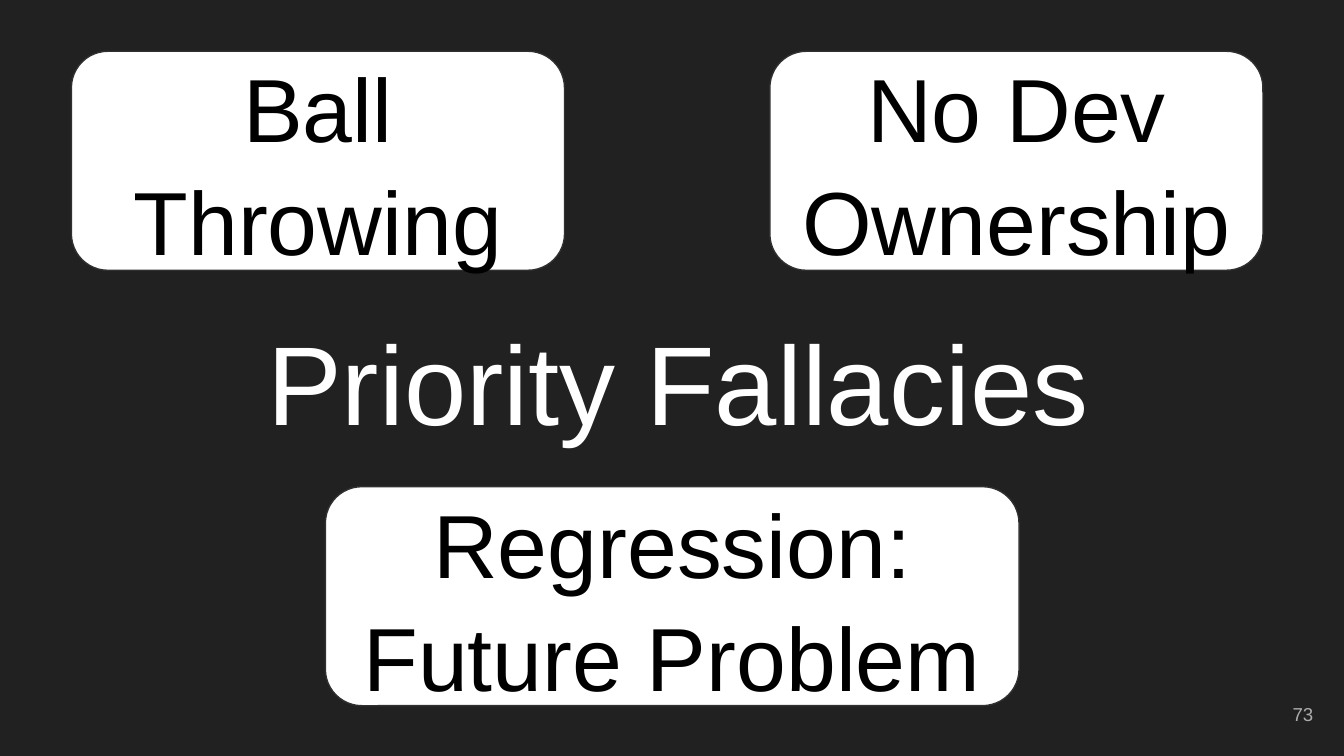
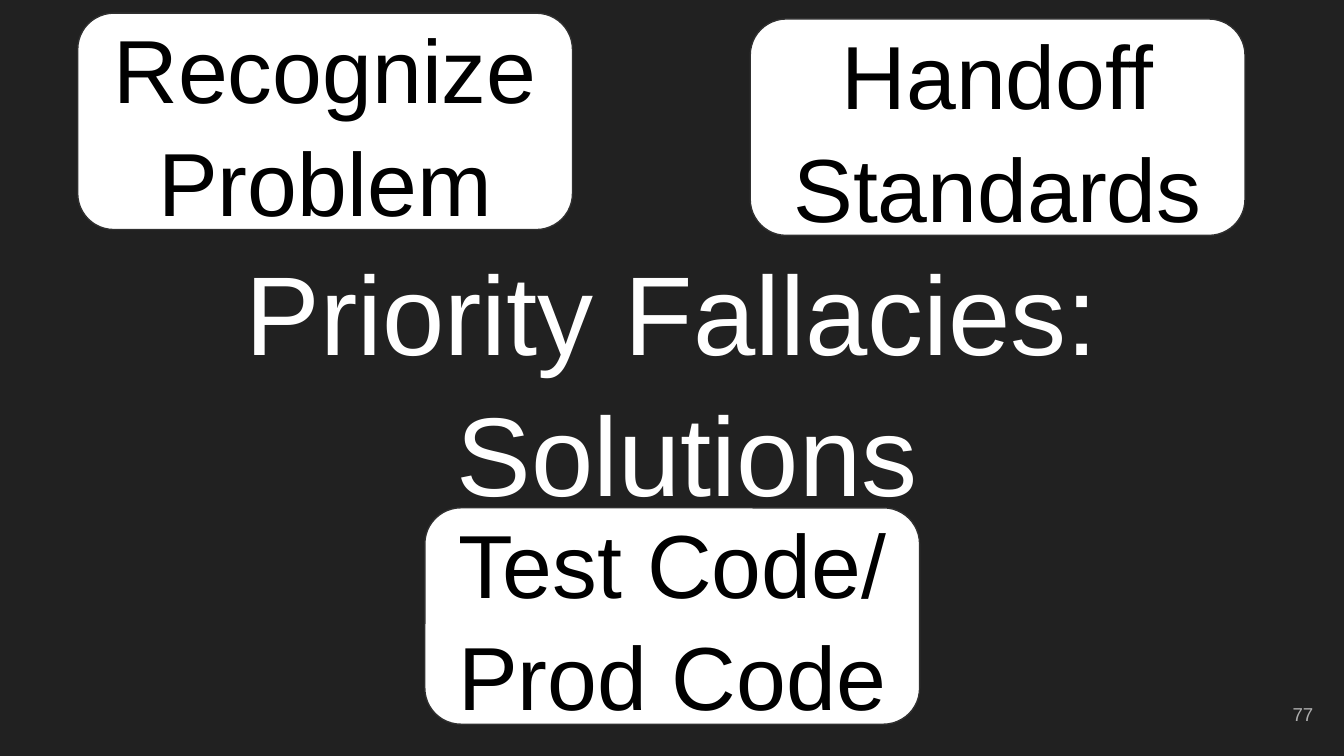
from pptx import Presentation
from pptx.dml.color import RGBColor
from pptx.enum.shapes import MSO_SHAPE
from pptx.enum.text import MSO_ANCHOR, MSO_AUTO_SIZE, PP_ALIGN
from pptx.util import Cm, Pt

ROUND = MSO_SHAPE.ROUNDED_RECTANGLE
MID, FIXED = MSO_ANCHOR.MIDDLE, MSO_AUTO_SIZE.NONE
MAIN, RIGHT = PP_ALIGN.CENTER, PP_ALIGN.RIGHT
DARK, WHITE, BLACK, EDGE, GREY = "212121", "FFFFFF", "000000", "303030", "ADADAD"
FRAME = {"word_wrap": True, "auto_size": FIXED, "vertical_anchor": MID,
         "margin_left": Cm(0.25), "margin_right": Cm(0.25),
         "margin_top": Cm(0.25), "margin_bottom": Cm(0.25)}


def tint(ink):
    return RGBColor.from_string(ink)


def write(shape, text, size, ink, align=MAIN):
    """Fill the shape with one paragraph per line of text."""
    frame = shape.text_frame
    frame.text = text
    for name, value in FRAME.items():
        setattr(frame, name, value)
    for para in frame.paragraphs:
        para.alignment = align
        para.line_spacing = 1.05
        para.space_before = Pt(0)
        para.font.name = "Arial"
        para.font.size = Pt(size)
        para.font.color.rgb = tint(ink)


# Title, its left and width, page number, card size, cards with left and top (cm)
SLIDES = [
    ("Priority Fallacies", 0.46, 24.71, "73", 4.14, [
        ("Ball Throwing", 1.35, 0.97, 9.32),
        ("Regression:\nFuture Problem", 6.15, 9.2, 13.11),
        ("No Dev Ownership", 14.55, 0.97, 9.32)]),
    ("Priority Fallacies:\n Solutions", 0.86, 23.67, "77", 4.09, [
        ("Recognize Problem", 1.47, 0.25, 9.35),
        ("Test Code/\nProd Code", 8.03, 9.6, 9.35),
        ("Handoff Standards", 14.18, 0.36, 9.35)]),
]

deck = Presentation()
deck.slide_width, deck.slide_height = Cm(25.4), Cm(14.29)
back = deck.slide_master.background.fill
back.solid()
back.fore_color.rgb = tint(DARK)

for head, left, width, page, tall, cards in SLIDES:
    slide = deck.slides.add_slide(deck.slide_layouts[5])
    title = slide.shapes.title
    title.left, title.top = Cm(left), Cm(5.97)
    title.width, title.height = Cm(width), Cm(2.34)
    write(title, head, 60, WHITE)

    foot = slide.shapes.add_textbox(Cm(23.55), Cm(12.95), Cm(1.52), Cm(1.09))
    write(foot, page, 10, GREY, RIGHT)

    for text, x, y, wide in cards:
        card = slide.shapes.add_shape(ROUND, Cm(x), Cm(y), Cm(wide), Cm(tall))
        card.shadow.inherit = False
        card.fill.solid()
        card.fill.fore_color.rgb = tint(WHITE)
        card.line.color.rgb = tint(EDGE)
        card.line.width = Pt(0.75)
        write(card, text, 48, BLACK)

deck.save("out.pptx")
